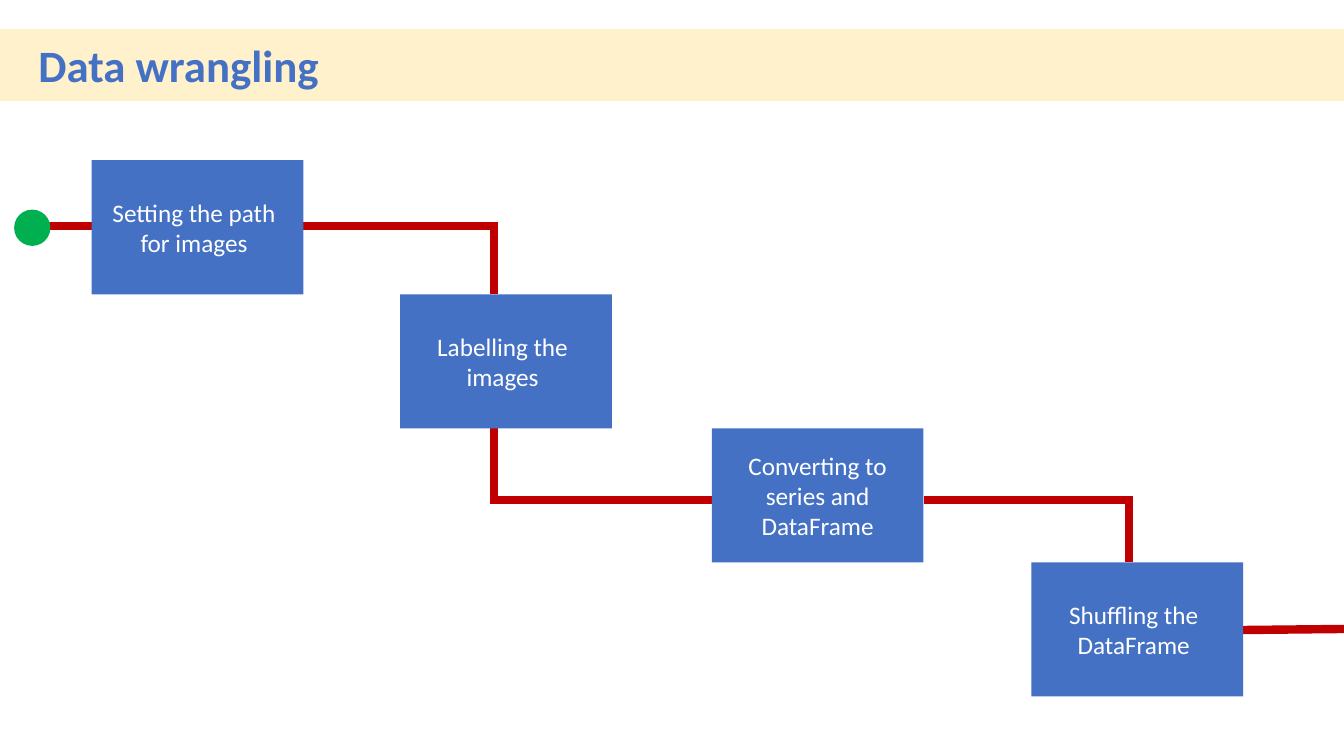
from lxml import etree
from pptx import Presentation
from pptx.dml.color import RGBColor
from pptx.enum.shapes import MSO_CONNECTOR, MSO_SHAPE
from pptx.enum.text import MSO_ANCHOR, PP_ALIGN
from pptx.oxml.ns import qn
from pptx.util import Inches, Pt

BLUE = RGBColor(0x44, 0x71, 0xC4)
CREAM = RGBColor(0xFF, 0xF1, 0xCC)
RED = RGBColor(0xC0, 0x00, 0x00)
GREEN = RGBColor(0x00, 0xAF, 0x50)
WHITE = RGBColor(0xFF, 0xFF, 0xFF)

TITLE = "Data wrangling"
# Step text (\v breaks the line), left edge, right inset
STEPS = [
    ("Setting the path\vfor images", 0.91, 0.07),
    ("Labelling the\vimages", 3.97, 0.07),
    ("Converting to\vseries and\vDataFrame", 7.06, 0),
    ("Shuffling the\vDataFrame", 10.23, 0.07),
]

SLIDE_W, SLIDE_H = 13.33, 7.5
STEP_W, STEP_H, FIRST_TOP = 2.1, 1.33, 1.59
START_SIZE, START_LEFT, START_TOP = 0.36, 0.14, 2.08
TURN_1, TURN_2 = 4.9, 11.2
ROW_1, ROW_3, ROW_4 = 2.24, 4.96, 6.25
HALF_LINE = 0.04

lefts = [left for _, left, _ in STEPS]
rights = [left + STEP_W for left in lefts]
tops = [FIRST_TOP + STEP_H * row for row in range(len(STEPS))]
TRACK = [
    (TURN_2, ROW_3 - HALF_LINE, TURN_2, tops[3]),
    (rights[2], ROW_3, TURN_2, ROW_3),
    (TURN_1 - HALF_LINE, ROW_3, lefts[2], ROW_3),
    (TURN_1, tops[2], TURN_1, ROW_3),
    (TURN_1, ROW_1 - HALF_LINE, TURN_1, tops[1]),
    (rights[0], ROW_1, TURN_1, ROW_1),
    (START_LEFT + START_SIZE - HALF_LINE, ROW_1, lefts[0], ROW_1),
    (rights[3], ROW_4, SLIDE_W, ROW_4 - 0.01),
]


def add_block(slide, kind, color, *box):
    block = slide.shapes.add_shape(kind, *map(Inches, box))
    block.shadow.inherit = False
    block.fill.solid()
    block.fill.fore_color.rgb = color
    block.line.fill.background()
    return block


def add_track(slide, *ends):
    track = slide.shapes.add_connector(MSO_CONNECTOR.STRAIGHT, *map(Inches, ends))
    track.line.color.rgb = RED
    track.line.width = Pt(6)
    etree.SubElement(track._element.spPr, qn("a:effectLst"))


def write(shape, text, size, color, bold, align, anchor, **margins):
    """Fill the shape with one formatted paragraph; margins are in inches."""
    frame = shape.text_frame
    frame.word_wrap = True
    frame.vertical_anchor = anchor
    for side in ("left", "top", "right", "bottom"):
        setattr(frame, f"margin_{side}", Inches(margins.get(side, 0)))
    paragraph = frame.paragraphs[0]
    paragraph.text = text
    paragraph.alignment = align
    for run in paragraph.runs:
        font_format = {"name": "Calibri", "size": Pt(size), "bold": bold}
        for name, value in font_format.items():
            setattr(run.font, name, value)
        run.font.color.rgb = color


def main():
    deck = Presentation()
    deck.slide_width, deck.slide_height = Inches(SLIDE_W), Inches(SLIDE_H)
    slide = deck.slides.add_slide(deck.slide_layouts[6])

    for ends in TRACK:
        add_track(slide, *ends)

    add_block(slide, MSO_SHAPE.RECTANGLE, CREAM, 0, 0.29, SLIDE_W, 0.71)
    title = slide.shapes.add_textbox(*map(Inches, (0.37, 0.34, 9.25, 0.56)))
    write(title, TITLE, 32, BLUE, True, PP_ALIGN.LEFT, MSO_ANCHOR.TOP,
          left=0.01, top=0.03)

    for (text, left, inset), top in zip(STEPS, tops):
        step = add_block(slide, MSO_SHAPE.RECTANGLE, BLUE, left, top, STEP_W, STEP_H)
        write(step, text, 18, WHITE, False, PP_ALIGN.CENTER, MSO_ANCHOR.MIDDLE,
              right=inset)

    add_block(slide, MSO_SHAPE.OVAL, GREEN, START_LEFT, START_TOP,
              START_SIZE, START_SIZE)
    deck.save("out.pptx")


if __name__ == "__main__":
    main()
